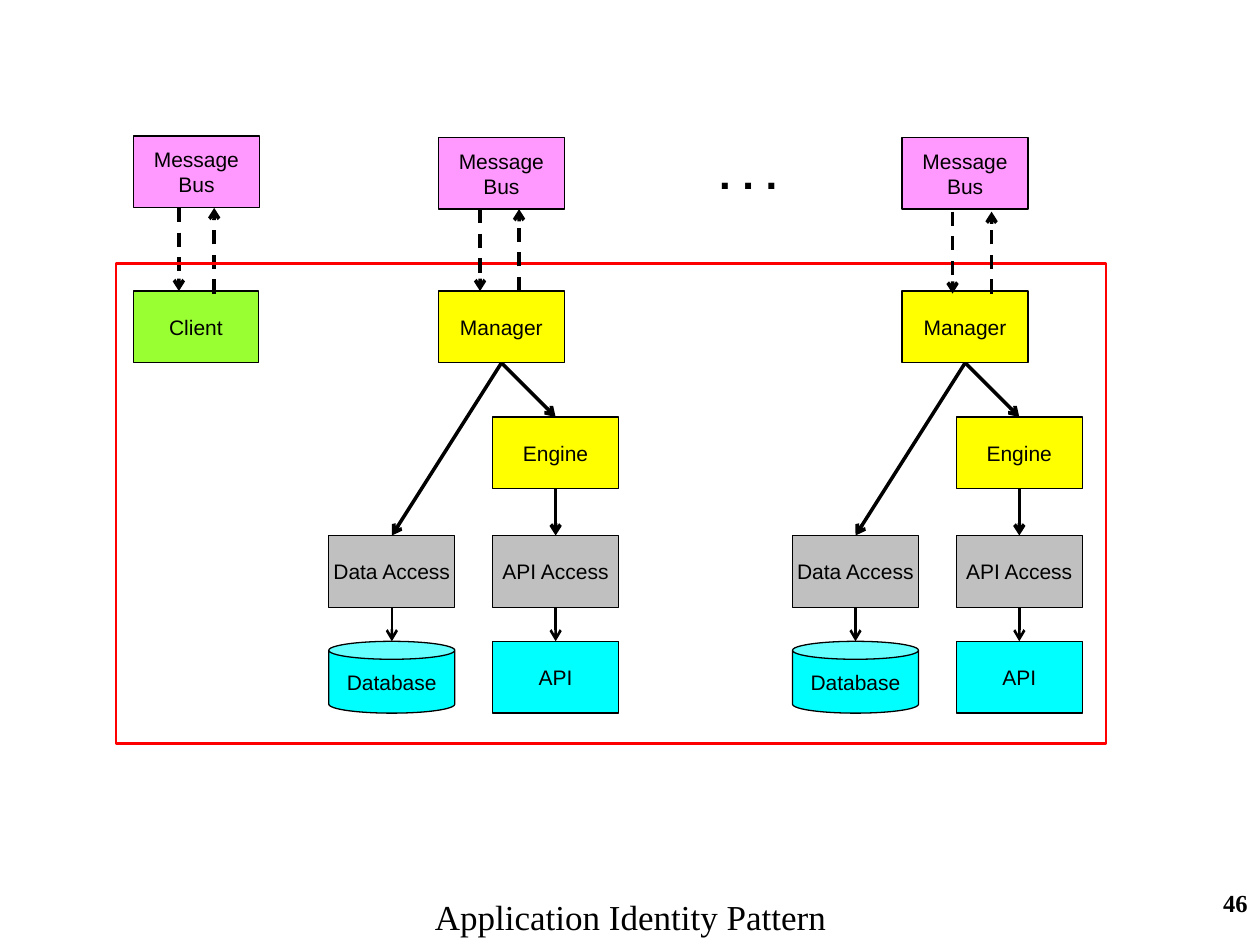
"""Build the Application Identity Pattern slide."""
import pptx
import pptx.dml.color
import pptx.enum.dml
import pptx.enum.shapes
import pptx.enum.text
import pptx.oxml
import pptx.oxml.ns
import pptx.util

Inches = pptx.util.Inches
Shapes = pptx.enum.shapes.MSO_SHAPE
Align = pptx.enum.text.PP_ALIGN

BOX_WIDTH, BOX_HEIGHT = 1, 0.57
STACK_OFFSETS = (0, 3.68)
BLACK, RED, PINK, GREEN = "000000", "FF0000", "FF99FF", "99FF33"
YELLOW, GRAY, CYAN = "FFFF00", "C0C0C0", "00FFFF"

CLIENT_BOXES = [
    ("Client", 1.06, 2.31, 0.99, GREEN),
    ("Message\nBus", 1.06, 1.08, BOX_WIDTH, PINK),
]
CLIENT_ARROWS = [((1.42, 1.65), (1.42, 2.31)), ((1.7, 2.33), (1.7, 1.65))]
FRAME = (0.92, 2.09, 7.86, 3.81)

STACK_BOXES = {
    "Message\nBus": (3.48, 1.09, PINK, Shapes.RECTANGLE),
    "Manager": (3.48, 2.31, YELLOW, Shapes.RECTANGLE),
    "Engine": (3.91, 3.31, YELLOW, Shapes.RECTANGLE),
    "Data Access": (2.61, 4.25, GRAY, Shapes.RECTANGLE),
    "API Access": (3.91, 4.25, GRAY, Shapes.RECTANGLE),
    "Database": (2.61, 5.09, CYAN, Shapes.CAN),
    "API": (3.91, 5.09, CYAN, Shapes.RECTANGLE),
}
STACK_CALLS = [
    ("Manager", "Engine", 2),
    ("Manager", "Data Access", 2),
    ("Engine", "API Access", 2),
    ("Data Access", "Database", 1.5),
    ("API Access", "API", 1.5),
]
BUS_ARROWS = [
    [((3.81, 1.66), (3.81, 2.31)), ((4.12, 2.31), (4.12, 1.66))],
    [((7.56, 1.68), (7.56, 2.33)), ((7.87, 2.33), (7.87, 1.68))],
]

LABELS = [
    ("46", (7.92, 7, 2.08, 0.5), "Times New Roman", 14, True, Align.RIGHT),
    (". . .", (5.61, 1.12, 0.74, 0.5), "Arial", 24, True, Align.LEFT),
    ("Application Identity Pattern", (3.34, 7.06, 3.33, 0.44),
     "Times New Roman", 20, False, Align.CENTER),
]


def color(value):
    return pptx.dml.color.RGBColor.from_string(value)


def write(shape, text, font_name, size, bold, alignment):
    shape.text_frame.text = text
    for paragraph in shape.text_frame.paragraphs:
        paragraph.alignment = alignment
        for run in paragraph.runs:
            run.font.name = font_name
            run.font.size = pptx.util.Pt(size)
            run.font.bold = bold
            run.font.color.rgb = color(BLACK)


def add_outline(slide, kind, bounds, line_color, line_width):
    shape = slide.shapes.add_shape(kind, *map(Inches, bounds))
    shape.shadow.inherit = False
    shape.fill.background()
    shape.line.color.rgb = color(line_color)
    shape.line.width = pptx.util.Pt(line_width)
    return shape


def add_box(slide, text, left, top, width, fill, kind=Shapes.RECTANGLE):
    shape = add_outline(slide, kind, (left, top, width, BOX_HEIGHT), BLACK, 0.75)
    shape.fill.solid()
    shape.fill.fore_color.rgb = color(fill)
    write(shape, text, "Arial", 12, False, Align.CENTER)
    shape.text_frame.word_wrap = False
    shape.text_frame.vertical_anchor = pptx.enum.text.MSO_ANCHOR.MIDDLE


def add_arrow(slide, start, end, width=2, dashed=False):
    connector = slide.shapes.add_connector(
        pptx.enum.shapes.MSO_CONNECTOR.STRAIGHT, *map(Inches, start + end))
    connector.line.color.rgb = color(BLACK)
    connector.line.width = pptx.util.Pt(width)
    if dashed:
        connector.line.dash_style = pptx.enum.dml.MSO_LINE.DASH
    namespace = pptx.oxml.ns.nsdecls("a")
    properties = connector._element.spPr
    properties.find(pptx.oxml.ns.qn("a:ln")).append(
        pptx.oxml.parse_xml(f'<a:tailEnd {namespace} type="arrow"/>'))
    properties.append(pptx.oxml.parse_xml(f"<a:effectLst {namespace}/>"))


def add_stack(slide, offset, bus_arrows):
    for caller, callee, width in STACK_CALLS:
        caller_left, caller_top = STACK_BOXES[caller][:2]
        callee_left, callee_top = STACK_BOXES[callee][:2]
        center = offset + BOX_WIDTH / 2
        add_arrow(slide, (caller_left + center, caller_top + BOX_HEIGHT),
                  (callee_left + center, callee_top), width)
    for text, (left, top, fill, kind) in STACK_BOXES.items():
        add_box(slide, text, left + offset, top, BOX_WIDTH, fill, kind)
    for start, end in bus_arrows:
        add_arrow(slide, start, end, dashed=True)


def main():
    presentation = pptx.Presentation()
    presentation.slide_width, presentation.slide_height = Inches(10), Inches(7.5)
    slide = presentation.slides.add_slide(presentation.slide_layouts[6])
    for box in CLIENT_BOXES:
        add_box(slide, *box)
    for start, end in CLIENT_ARROWS:
        add_arrow(slide, start, end, dashed=True)
    add_outline(slide, Shapes.RECTANGLE, FRAME, RED, 1.5)
    for offset, bus_arrows in zip(STACK_OFFSETS, BUS_ARROWS):
        add_stack(slide, offset, bus_arrows)
    for text, bounds, *style in LABELS:
        label = slide.shapes.add_textbox(*map(Inches, bounds))
        write(label, text, *style)
        label.text_frame.word_wrap = True
    presentation.save("out.pptx")


if __name__ == "__main__":
    main()
